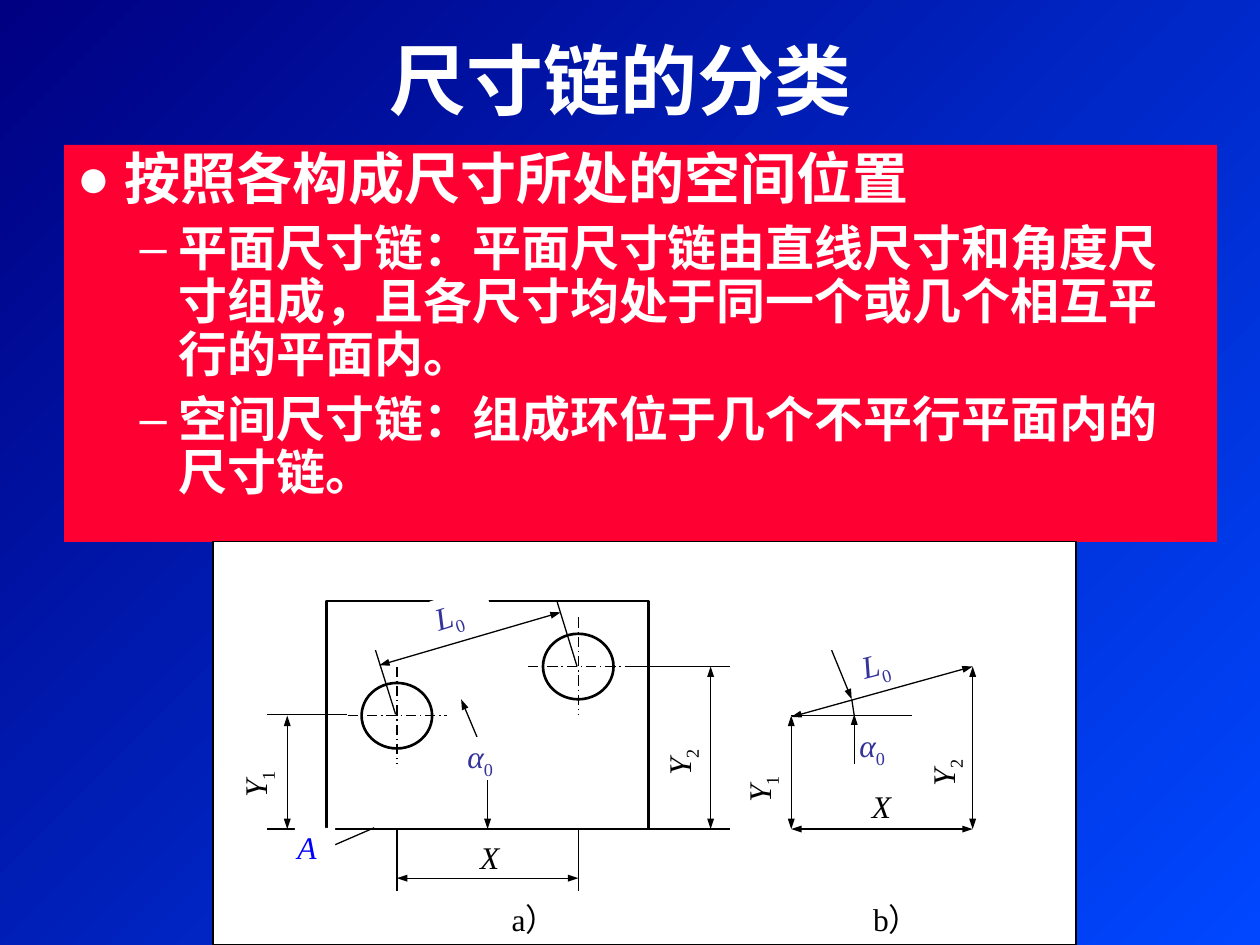
from lxml import etree
from pptx import Presentation
from pptx import util as u
from pptx.dml.color import RGBColor
from pptx.enum import dml, shapes, text
from pptx.oxml import ns

PX = u.Inches(1) // 100
CJK = "Noto Sans CJK SC"
SERIF = "Times New Roman"
WHITE, BLACK, RED, BLUE, INDIGO = "FFFFFF", "000000", "FF0033", "0000FF", "333399"
color = RGBColor.from_string


def add_box(kind, at, fill, outline=None, weight=0.75):
    box = page.shapes.add_shape(kind, *[n * PX for n in at])
    box.shadow.inherit = False
    box.fill.solid()
    box.fill.fore_color.rgb = color(fill)
    if outline:
        box.line.color.rgb = color(outline)
        box.line.width = u.Pt(weight)
    else:
        box.line.fill.background()
    return box


def add_span(para, words, size, font, ink, bold=False, italic=False):
    span = para.add_run()
    span.text = words
    span.font.size = u.Pt(size)
    span.font.name = font
    span.font.bold = bold
    span.font.italic = italic
    span.font.color.rgb = color(ink)
    etree.SubElement(span.font._element, ns.qn("a:ea"), typeface=CJK)
    return span


deck = Presentation()
deck.slide_width, deck.slide_height = 1000 * PX, 750 * PX
page = deck.slides.add_slide(deck.slide_layouts[6])
backdrop = page.background.fill
backdrop.gradient()
backdrop.gradient_angle = 315
for stop, shade in zip(backdrop.gradient_stops, ["000082", "0047FF"]):
    stop.color.rgb = color(shade)
backdrop.gradient_stops[0].position = 0
backdrop.gradient_stops[1].position = 1

title = page.shapes.add_textbox(43 * PX, 0, 900 * PX, 125 * PX)
title.text_frame.word_wrap = True
title.text_frame.vertical_anchor = text.MSO_ANCHOR.MIDDLE
para = title.text_frame.paragraphs[0]
para.alignment = text.PP_ALIGN.CENTER
add_span(para, "尺寸链的分类", 44, "Arial", WHITE, bold=True)

RECT = shapes.MSO_SHAPE.RECTANGLE
body = add_box(RECT, (51, 115, 915, 315), RED)
frame = body.text_frame
frame.word_wrap = True
frame.vertical_anchor = text.MSO_ANCHOR.TOP
points = [
    ("按照各构成尺寸所处的空间位置", 0, "●", 38, -38, 32, 0),
    ("平面尺寸链：平面尺寸链由直线尺寸和角度尺寸组成，且各尺寸均处于同一个或几个相互平行的平面内。",
     1, "–", 81, -31, 28, 7),
    ("空间尺寸链：组成环位于几个不平行平面内的尺寸链。", 1, "–", 81, -31, 28, 7),
]
for number, (words, level, mark, margin, indent, size, before) in enumerate(points):
    para = frame.add_paragraph() if number else frame.paragraphs[0]
    props = para._p.get_or_add_pPr()
    props.set("marL", str(margin * PX))
    props.set("indent", str(indent * PX))
    tint = etree.SubElement(props, ns.qn("a:buClr"))
    etree.SubElement(tint, ns.qn("a:srgbClr"), val=WHITE)
    etree.SubElement(props, ns.qn("a:buFont"), typeface="Arial")
    etree.SubElement(props, ns.qn("a:buChar"), char=mark)
    para.level = level
    para.alignment = text.PP_ALIGN.LEFT
    para.line_spacing = 0.9
    para.space_before = u.Pt(before)
    add_span(para, words, size, CJK, WHITE, bold=True)

panel = add_box(RECT, (169, 430, 685, 320), WHITE, BLACK)
plate = add_box(RECT, (259, 477, 256, 181), WHITE, BLACK, 1.5)
for left, top in [(287, 542), (431, 503)]:
    add_box(shapes.MSO_SHAPE.OVAL, (left, top, 56, 52), WHITE, BLACK, 1.5)

center_lines = [
    (276, 568, 355, 568), (315, 529, 315, 606),
    (419, 529, 499, 529), (459, 490, 459, 567),
]
plain_lines = [
    (315, 658, 315, 707), (459, 658, 459, 707), (297, 657, 260, 673),
    (275, 567, 212, 567), (275, 658, 212, 658),
    (579, 658, 515, 658), (579, 529, 499, 529),
    (314, 567, 298, 516), (458, 529, 442, 477),
    (628, 568, 724, 568), (676, 555, 678, 568),
]
dimensions = [
    (315, 697, 459, 697), (228, 568, 228, 658), (564, 529, 564, 658), (301, 528, 445, 486),
    (772, 529, 772, 658), (628, 658, 772, 658), (628, 568, 628, 658), (628, 569, 772, 529),
]
pointers = [
    (382, 593, 366, 555), (387, 619, 387, 658),
    (660, 516, 676, 555), (678, 606, 678, 567),
]
plate_foot = (plate.left + plate.width // 2, plate.top + plate.height)
for lines, dashed, ends in [
    (center_lines, True, []),
    (plain_lines, False, []),
    (dimensions, False, ["headEnd", "tailEnd"]),
    (pointers, False, ["tailEnd"]),
]:
    for points in lines:
        line = page.shapes.add_connector(shapes.MSO_CONNECTOR.STRAIGHT, *[n * PX for n in points])
        line.line.color.rgb = color(BLACK)
        line.line.width = u.Pt(0.75)
        if dashed:
            line.line.dash_style = dml.MSO_LINE.LONG_DASH_DOT
        for end in ends:
            etree.SubElement(line.line._ln, ns.qn("a:" + end), type="triangle", w="sm", len="med")
        etree.SubElement(line._element.spPr, ns.qn("a:effectLst"))
        if (line.end_x, line.end_y) == plate_foot:
            line.end_connect(plate, 2)

TOP, MIDDLE = text.MSO_ANCHOR.TOP, text.MSO_ANCHOR.MIDDLE
labels = [
    ("a）", "", (404, 714, 58, 26), 0, BLACK, TOP, 2),
    ("b）", "", (691, 714, 52, 26), 0, BLACK, TOP, 2),
    ("Y", "1", (179, 591, 50, 34), 270, BLACK, MIDDLE, 0),
    ("Y", "2", (517, 575, 47, 34), 270, BLACK, MIDDLE, 0),
    ("A", "", (234, 657, 32, 26), 0, BLUE, TOP, 2),
    ("X", "", (379, 665, 32, 26), 0, BLACK, TOP, 2),
    ("L", "0", (345, 470, 45, 34), 342.8, INDIGO, MIDDLE, 0),
    ("α", "0", (371, 585, 42, 34), 0, INDIGO, TOP, 0),
    ("α", "0", (682, 576, 45, 34), 0, INDIGO, TOP, 0),
    ("L", "0", (684, 511, 32, 34), 345.8, INDIGO, TOP, 0),
    ("X", "", (690, 625, 32, 26), 0, BLACK, TOP, 2),
    ("Y", "1", (579, 595, 50, 34), 270, BLACK, MIDDLE, 0),
    ("Y", "2", (726, 583, 48, 34), 270, BLACK, MIDDLE, 0),
]
for symbol, index, at, turn, ink, anchor, inset in labels:
    label = add_box(RECT, at, WHITE)
    label.rotation = turn
    frame = label.text_frame
    frame.word_wrap = True
    frame.vertical_anchor = anchor
    frame.margin_left = frame.margin_right = inset * PX
    frame.margin_top = frame.margin_bottom = 0
    para = frame.paragraphs[0]
    para.alignment = text.PP_ALIGN.JUSTIFY
    add_span(para, symbol, 18, SERIF, ink, italic=len(symbol) == 1)
    if index:
        span = add_span(para, index, 18, SERIF, ink)
        span.font._element.set("baseline", "-25000")

deck.save("out.pptx")
